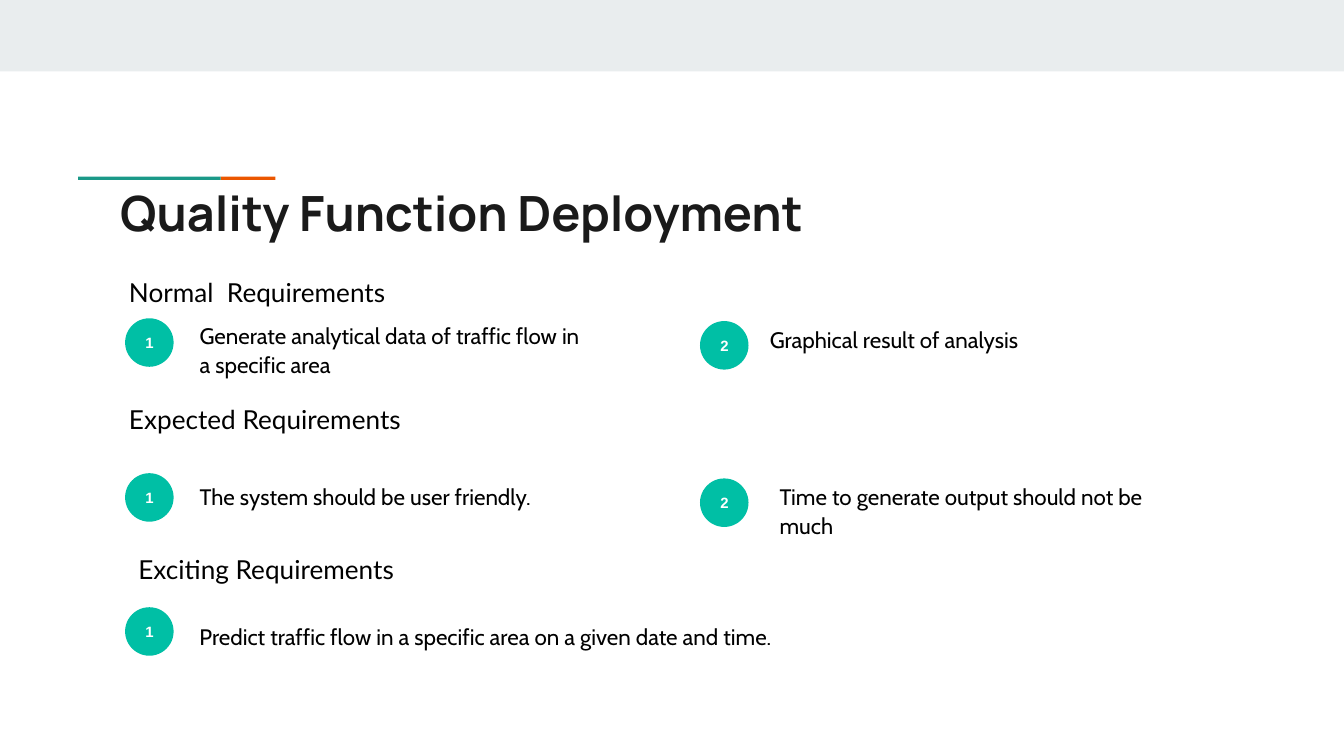
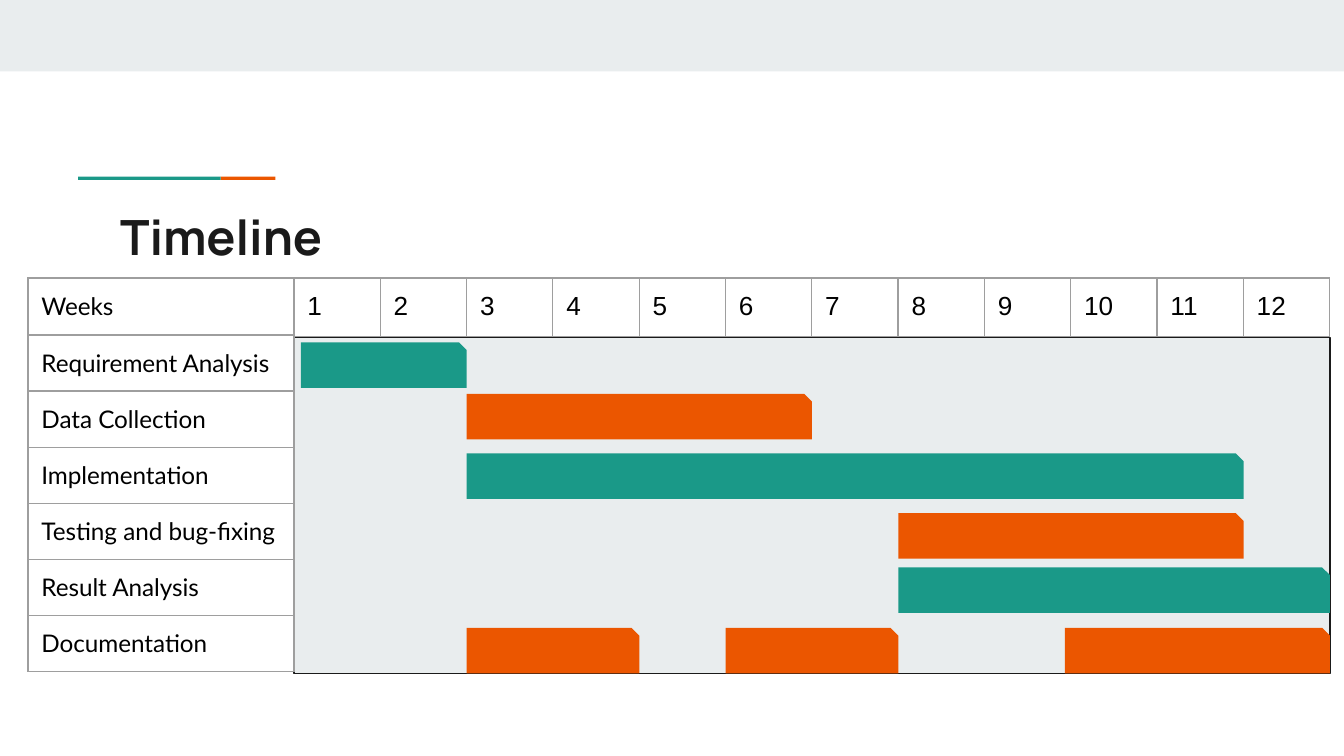
from lxml.etree import SubElement
from pptx import Presentation
from pptx.dml.color import RGBColor
from pptx.enum.shapes import MSO_SHAPE as Preset
from pptx.enum.text import MSO_ANCHOR as Anchor, PP_ALIGN as Align
from pptx.oxml.ns import qn
from pptx.util import Pt

COLORS = {
    "band": "E9EDEE", "teal": "1A9988", "orange": "EB5600", "badge": "00BFA5",
    "title": "1A1A1A", "text": "000000", "white": "FFFFFF", "grid": "9E9E9E",
}
SLIDE_WIDTH, SLIDE_HEIGHT = 720, 405
INSET = 7.2

# Requirements: heading with its left and top, then items as
# (badge left, badge top, text left, text top, text width, text)
REQUIREMENTS = [
    ("Normal  Requirements", 62, 141, [
        (67, 170.5, 99.8, 164.4, 223, "Generate analytical data of traffic flow in a specific area"),
        (375, 172, 405.3, 166.6, 223, "Graphical result of analysis"),
    ]),
    ("Expected Requirements", 62, 209, [
        (67, 253.5, 99.8, 250.5, 223, "The system should be user friendly."),
        (375, 256.3, 410.5, 250.5, 223, "Time to generate output should not be much"),
    ]),
    ("Exciting Requirements", 67, 289.4, [
        (67, 325.3, 99.8, 325.5, 379, "Predict traffic flow in a specific area on a given date and time."),
    ]),
]
BADGE_SIZE = 26

# Timeline: task, bar top, bars as (start, end) in weeks elapsed
WEEKS = 12
TASKS = [
    ("Requirement Analysis", 183.4, [(0.08, 2)]),
    ("Data Collection", 211, [(2, 6)]),
    ("Implementation", 242.9, [(2, 11)]),
    ("Testing and bug-fixing", 274.9, [(7, 11)]),
    ("Result Analysis", 304, [(7, 12)]),
    ("Documentation", 336.4, [(2, 4), (5, 7), (8.93, 12)]),
]
TABLE_TOP, TASK_LEFT, TASK_WIDTH = 149, 15, 142.5
WEEK_LEFT, WEEK_WIDTH = TASK_LEFT + TASK_WIDTH, 46.25
HEADER_HEIGHT, ROW_HEIGHT = 30.5, 30
CHART_TOP, CHART_HEIGHT, BAR_HEIGHT = 180.7, 180, 24.4


def rgb(name):
    return RGBColor.from_string(COLORS[name])


def set_font(paragraph, size, family, color="text", bold=False):
    font = paragraph.font
    font.size, font.name, font.bold = Pt(size), family, bold
    font.color.rgb = rgb(color)


def set_insets(holder):
    holder.margin_left = holder.margin_right = Pt(INSET)
    holder.margin_top = holder.margin_bottom = Pt(INSET)


def add_shape(slide, preset, left, top, width, height, fill, line=None):
    shape = slide.shapes.add_shape(preset, Pt(left), Pt(top), Pt(width), Pt(height))
    shape.shadow.inherit = False
    shape.fill.solid()
    shape.fill.fore_color.rgb = rgb(fill)
    if line:
        shape.line.color.rgb = rgb(line)
        shape.line.width = Pt(0.75)
    else:
        shape.line.fill.background()
    return shape


def add_text(slide, left, top, width, height, text, size, family,
             color="text", bold=False, spacing=None):
    frame = slide.shapes.add_textbox(Pt(left), Pt(top), Pt(width), Pt(height)).text_frame
    frame.word_wrap = True
    set_insets(frame)
    paragraph = frame.paragraphs[0]
    paragraph.text = text
    if spacing:
        paragraph.line_spacing = spacing
    set_font(paragraph, size, family, color, bold)


def add_badge(slide, left, top, number):
    badge = add_shape(slide, Preset.OVAL, left, top, BADGE_SIZE, BADGE_SIZE, "badge")
    frame = badge.text_frame
    set_insets(frame)
    frame.vertical_anchor = Anchor.MIDDLE
    paragraph = frame.paragraphs[0]
    paragraph.text = str(number)
    paragraph.alignment = Align.CENTER
    set_font(paragraph, 8, "Arial", "white", True)


def add_borders(cell):
    properties = cell._tc.get_or_add_tcPr()
    for position, side in enumerate(("a:lnL", "a:lnR", "a:lnT", "a:lnB")):
        border = SubElement(properties, qn(side), w=str(Pt(0.75)))
        fill = SubElement(border, qn("a:solidFill"))
        SubElement(fill, qn("a:srgbClr"), val=COLORS["grid"])
        properties.insert(position, border)


def add_grid(slide, left, rows, column_width, row_heights, size, family):
    columns = len(rows[0])
    table = slide.shapes.add_table(
        len(rows), columns, Pt(left), Pt(TABLE_TOP),
        Pt(column_width * columns), Pt(sum(row_heights))).table
    table.first_row = table.horz_banding = False
    for column in table.columns:
        column.width = Pt(column_width)
    for row, height, texts in zip(table.rows, row_heights, rows):
        row.height = Pt(height)
        for cell, text in zip(row.cells, texts):
            cell.text = text
            set_insets(cell)
            set_font(cell.text_frame.paragraphs[0], size, family)
            cell.fill.background()
            add_borders(cell)


def new_slide(deck):
    slide = deck.slides.add_slide(deck.slide_layouts[6])
    add_shape(slide, Preset.RECTANGLE, 0, 0, SLIDE_WIDTH, 38.3, "band")
    # Two-colour accent above the title
    add_shape(slide, Preset.RECTANGLE, 118.2, 94.7, 29.3, 1.7, "orange")
    add_shape(slide, Preset.RECTANGLE, 41.8, 94.7, 76.4, 1.7, "teal")
    return slide


def add_title(slide, top, text):
    add_text(slide, 57.3, top, 605.5, 42.5, text, 26, "Manrope", "title", True)


def build_requirements(deck):
    slide = new_slide(deck)
    add_title(slide, 90.7, "Quality Function Deployment")
    for heading, heading_left, heading_top, items in REQUIREMENTS:
        add_text(slide, heading_left, heading_top, 190, 23, heading, 14, "Lato")
        for number, item in enumerate(items, start=1):
            badge_left, badge_top, left, top, width, text = item
            add_badge(slide, badge_left, badge_top, number)
            add_text(slide, left, top, width, 83, text, 12, "Cabin", spacing=1.08)


def build_timeline(deck):
    slide = new_slide(deck)
    add_shape(slide, Preset.RECTANGLE, WEEK_LEFT, CHART_TOP,
              WEEKS * WEEK_WIDTH, CHART_HEIGHT, "band", "title")
    add_title(slide, 103.7, "Timeline")

    # Week header and task column
    week_row = [str(week) for week in range(1, WEEKS + 1)]
    add_grid(slide, WEEK_LEFT, [week_row], WEEK_WIDTH, [HEADER_HEIGHT], 14, "Arial")
    task_rows = [["Weeks"]] + [[task] for task, _, _ in TASKS]
    heights = [HEADER_HEIGHT] + [ROW_HEIGHT] * len(TASKS)
    add_grid(slide, TASK_LEFT, task_rows, TASK_WIDTH, heights, 13, "Lato")

    # Bars, alternating colour by task
    for index, (_, top, spans) in enumerate(TASKS):
        color = ("teal", "orange")[index % 2]
        for start, end in spans:
            bar = add_shape(slide, Preset.SNIP_1_RECTANGLE,
                            WEEK_LEFT + start * WEEK_WIDTH, top,
                            (end - start) * WEEK_WIDTH, BAR_HEIGHT, color)
            bar.adjustments[0] = 0.17


def main():
    deck = Presentation()
    deck.slide_width, deck.slide_height = Pt(SLIDE_WIDTH), Pt(SLIDE_HEIGHT)
    build_requirements(deck)
    build_timeline(deck)
    deck.save("out.pptx")


if __name__ == "__main__":
    main()
